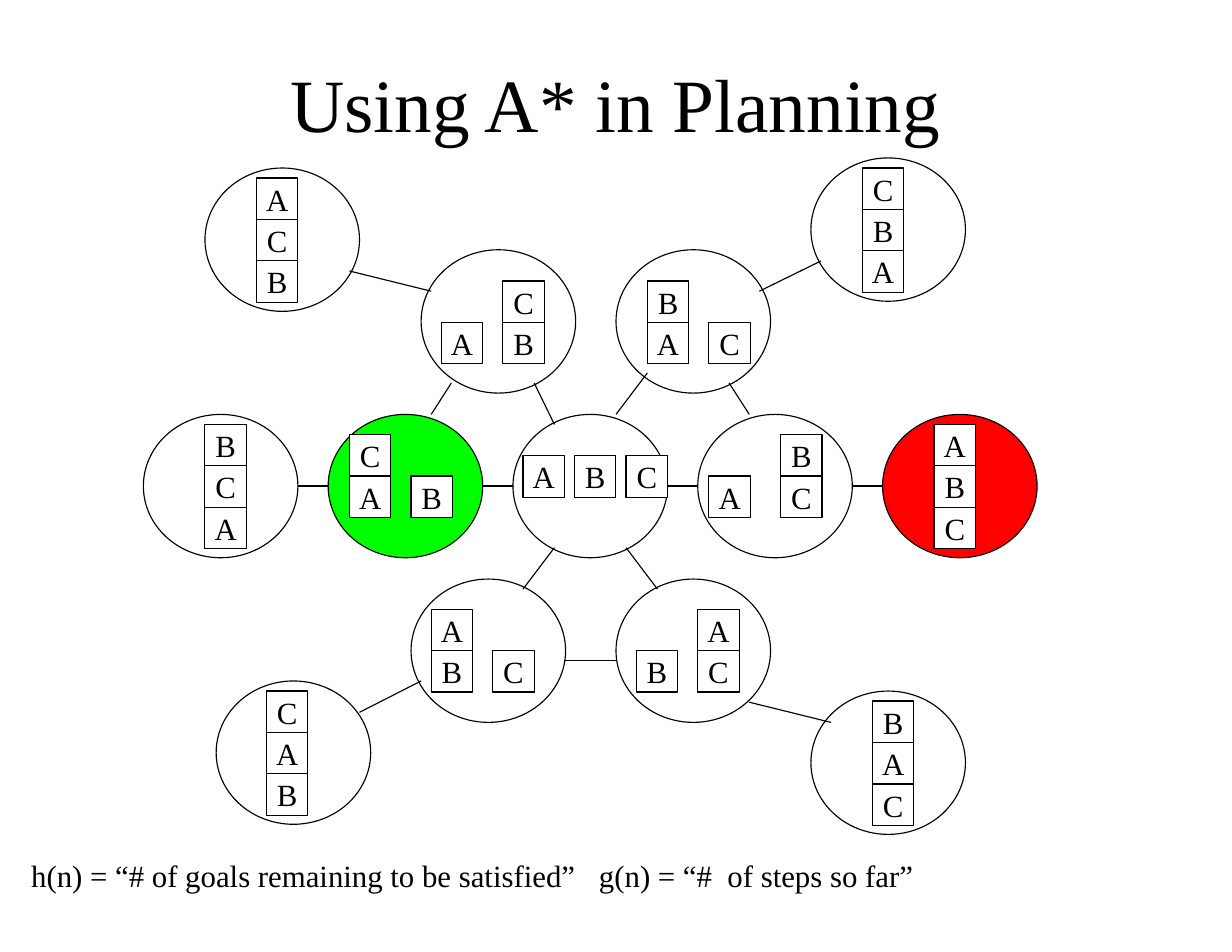
from lxml.etree import SubElement
from pptx import Presentation
from pptx.dml.color import RGBColor
from pptx.enum.shapes import MSO_CONNECTOR, MSO_SHAPE
from pptx.enum.text import MSO_ANCHOR, MSO_AUTO_SIZE, PP_ALIGN
from pptx.oxml.ns import qn
from pptx.util import Inches, Pt

HUES = {"ink": "000000", "plain": "FFFFFF", "start": "00FF00", "goal": "FF0000"}
FONT = "Times New Roman"
WIDE, HIGH = 1.38, 1.28  # state ellipse
SIDE = 0.37              # block
ROW = 3.7                # top of the middle row
STEP = 1.65              # pitch of the middle row

# Each state: left, top, fill, foot of its stacks below the top,
# then its stacks as (offset from left, letters from the top down)
STATES = [
    (1.28, ROW, "plain", 1.2, [(0.55, "BCA")]),
    (1.28 + STEP, ROW, "start", 0.92, [(0.19, "CA"), (0.74, "B")]),
    (1.28 + 2 * STEP, ROW, "plain", 0.74, [(0.09, "A"), (0.55, "B"), (1.01, "C")]),
    (1.28 + 3 * STEP, ROW, "plain", 0.92, [(0.1, "A"), (0.74, "BC")]),
    (1.28 + 4 * STEP, ROW, "goal", 1.2, [(0.46, "ABC")]),
    (3.76, 2.23, "plain", 1.02, [(0.18, "A"), (0.73, "CB")]),
    (5.5, 2.23, "plain", 1.02, [(0.28, "BA"), (0.83, "C")]),
    (3.67, 5.17, "plain", 1.01, [(0.18, "AB"), (0.73, "C")]),
    (5.5, 5.17, "plain", 1.01, [(0.18, "B"), (0.73, "AC")]),
    (1.83, 1.5, "plain", 1.2, [(0.46, "ACB")]),
    (7.24, 1.41, "plain", 1.2, [(0.46, "CBA")]),
    (1.93, 6.08, "plain", 1.2, [(0.45, "CAB")]),
    (7.24, 6.17, "plain", 1.2, [(0.55, "BAC")]),
]

# Moves between states that are not in the middle row
MOVES = [
    (3.21, 6.36, 3.76, 6.08), (6.78, 2.6, 7.33, 2.33),
    (3.12, 2.42, 3.85, 2.6), (6.69, 6.27, 7.42, 6.45),
    (5.04, 5.9, 5.5, 5.9), (4.67, 5.26, 4.95, 4.89),
    (5.59, 4.89, 5.87, 5.26), (3.85, 3.7, 4.03, 3.42),
    (4.77, 3.42, 4.95, 3.79), (5.5, 3.7, 5.78, 3.33),
    (6.51, 3.42, 6.69, 3.7),
]


def tint(name):
    return RGBColor.from_string(HUES[name])


def write(shape, text, size=19.8, align=PP_ALIGN.CENTER,
          anchor=MSO_ANCHOR.MIDDLE, wrap=False, inset=0.0):
    frame = shape.text_frame
    frame.word_wrap = wrap
    frame.auto_size = MSO_AUTO_SIZE.NONE
    frame.vertical_anchor = anchor
    frame.margin_left = frame.margin_right = Inches(inset)
    frame.margin_top = frame.margin_bottom = Inches(inset / 2)
    para = frame.paragraphs[0]
    para.alignment = align
    run = para.add_run()
    run.text = text
    run.font.name, run.font.size = FONT, Pt(size)
    run.font.color.rgb = tint("ink")
    return para


def draw(slide, kind, box, fill="plain"):
    shape = slide.shapes.add_shape(kind, *map(Inches, box))
    shape.shadow.inherit = False
    shape.fill.solid()
    shape.fill.fore_color.rgb = tint(fill)
    shape.line.color.rgb = tint("ink")
    shape.line.width = Pt(0.75)
    return shape


def link(slide, ends):
    line = slide.shapes.add_connector(MSO_CONNECTOR.STRAIGHT, *map(Inches, ends))
    line.line.color.rgb = tint("ink")
    line.line.width = Pt(0.75)
    SubElement(line._element.spPr, qn("a:effectLst"))


def state(slide, left, top, fill, foot, stacks):
    draw(slide, MSO_SHAPE.OVAL, (left, top, WIDE, HIGH), fill)
    for shift, names in stacks:
        for level, name in enumerate(reversed(names), 1):
            box = (left + shift, top + foot - level * SIDE, SIDE, SIDE)
            write(draw(slide, MSO_SHAPE.RECTANGLE, box), name)


def graph(slide):
    for item in STATES:
        state(slide, *item)
    # Links along the middle row
    for col in range(4):
        left = 1.28 + col * STEP
        mid = ROW + HIGH / 2
        link(slide, (left + WIDE, mid, left + STEP, mid))
    for ends in MOVES:
        link(slide, ends)


def head(slide, box):
    title = slide.shapes.title
    title.left, title.top, title.width, title.height = map(Inches, box)
    write(title, "Using A* in Planning", size=48.4, wrap=True, inset=0.1)


def note(slide, box):
    area = slide.shapes.add_textbox(*map(Inches, box))
    para = write(area, "h(n) = “# of goals remaining to be satisfied”\tg(n) = “#  of steps so far”",
                 align=PP_ALIGN.LEFT, anchor=MSO_ANCHOR.TOP, inset=0.1)
    # Tab stop that sets the two formulas apart
    tabs = SubElement(para._p.get_or_add_pPr(), qn("a:tabLst"))
    SubElement(tabs, qn("a:tab"), pos=str(Inches(5.07)), algn="l")


def main():
    deck = Presentation()
    deck.slide_width, deck.slide_height = Inches(11), Inches(8.5)
    slide = deck.slides.add_slide(deck.slide_layouts[5])
    head(slide, (0.82, 0.22, 9.35, 1.38))
    graph(slide)
    note(slide, (0.18, 7.6, 8.23, 0.43))
    deck.save("out.pptx")


if __name__ == "__main__":
    main()
